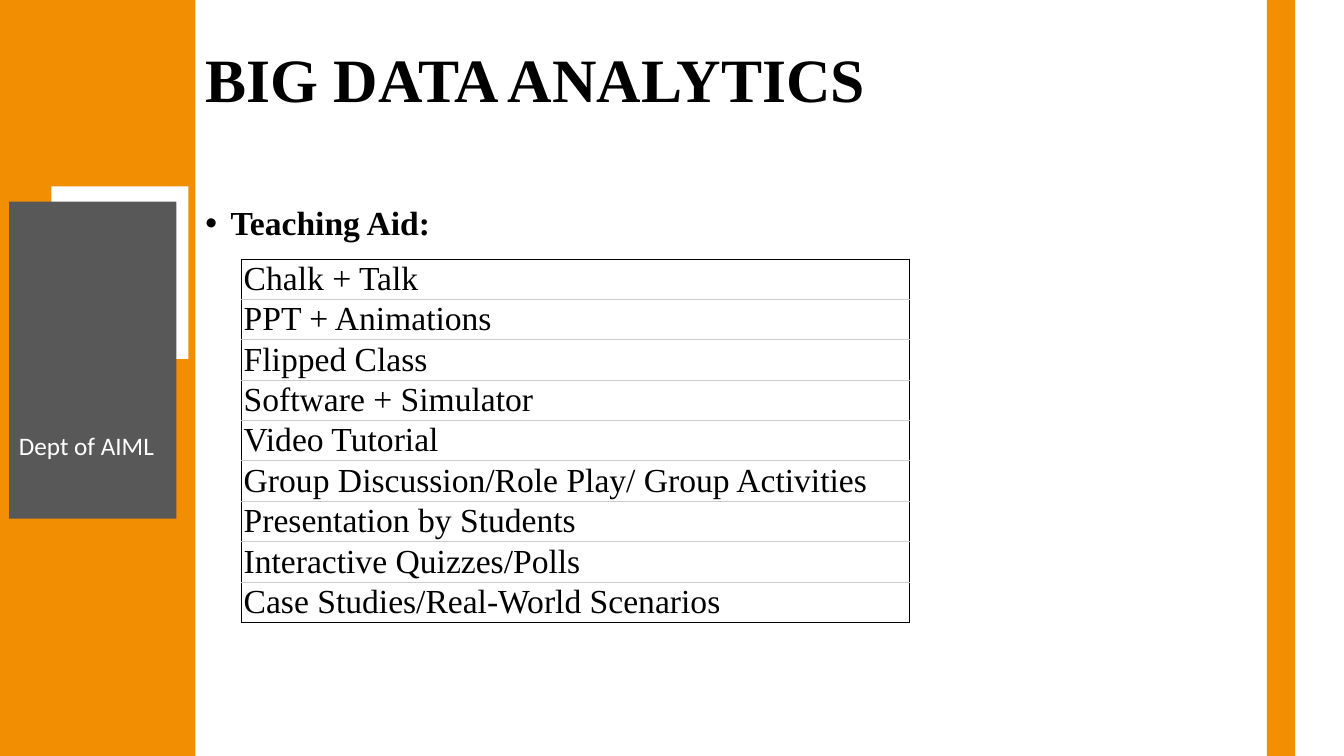
from lxml.etree import SubElement
from pptx import Presentation
from pptx.dml.color import RGBColor
from pptx.enum.shapes import MSO_SHAPE as Preset
from pptx.enum.text import MSO_ANCHOR as Anchor
from pptx.oxml.ns import qn
from pptx.util import Pt

ORANGE = RGBColor(0xF2, 0x8E, 0x01)
GRAY = RGBColor(0x58, 0x58, 0x58)
LIGHT_GRAY = RGBColor(0xCC, 0xCC, 0xCC)
WHITE = RGBColor(0xFF, 0xFF, 0xFF)
BLACK = RGBColor(0, 0, 0)
SERIF = "Times New Roman"

TEACHING_AIDS = [
    "Chalk + Talk",
    "PPT + Animations",
    "Flipped Class",
    "Software + Simulator",
    "Video Tutorial",
    "Group Discussion/Role Play/ Group Activities",
    "Presentation by Students",
    "Interactive Quizzes/Polls",
    "Case Studies/Real-World Scenarios",
]
ROW_HEIGHT = 28.8


def format_text(paragraph, size, font_name=SERIF, color=BLACK, bold=False):
    for run in paragraph.runs:
        run.font.size = Pt(size)
        run.font.name = font_name
        run.font.color.rgb = color
        run.font.bold = bold


def add_panel(slide, left, top, width, height, color):
    shape = slide.shapes.add_shape(
        Preset.RECTANGLE, Pt(left), Pt(top), Pt(width), Pt(height))
    shape.shadow.inherit = False
    shape.fill.solid()
    shape.fill.fore_color.rgb = color
    shape.line.fill.background()


def add_text(slide, left, top, width, height, text):
    box = slide.shapes.add_textbox(Pt(left), Pt(top), Pt(width), Pt(height))
    box.text_frame.word_wrap = True
    box.text_frame.text = text
    return box.text_frame


def add_bullet(paragraph, indent):
    properties = paragraph._p.get_or_add_pPr()
    properties.set("marL", str(Pt(indent)))
    properties.set("indent", str(-Pt(indent)))
    SubElement(properties, qn("a:buFont"), typeface="Arial")
    SubElement(properties, qn("a:buChar"), char="•")


def set_border(cell, side, color):
    line = SubElement(cell._tc.get_or_add_tcPr(), qn(f"a:{side}"), w=str(Pt(0.6)))
    fill = SubElement(line, qn("a:solidFill"))
    SubElement(fill, qn("a:srgbClr"), val=str(color))


def add_aid_table(slide, left, top, width, aids):
    frame = slide.shapes.add_table(
        len(aids), 1, Pt(left), Pt(top), Pt(width), Pt(ROW_HEIGHT * len(aids)))
    table = frame.table
    table.first_row = False
    table.horz_banding = False
    for index, aid in enumerate(aids):
        table.rows[index].height = Pt(ROW_HEIGHT)
        cell = table.cell(index, 0)
        cell.margin_left = cell.margin_right = Pt(2)
        cell.margin_top = cell.margin_bottom = 0
        cell.vertical_anchor = Anchor.MIDDLE
        cell.text_frame.text = aid
        format_text(cell.text_frame.paragraphs[0], 24)
        # Borders come before the fill in the cell properties
        set_border(cell, "lnL", BLACK)
        set_border(cell, "lnR", BLACK)
        set_border(cell, "lnT", BLACK if index == 0 else LIGHT_GRAY)
        set_border(cell, "lnB", BLACK if index == len(aids) - 1 else LIGHT_GRAY)
        cell.fill.background()


def main():
    presentation = Presentation()
    presentation.slide_width = Pt(960)
    presentation.slide_height = Pt(540)
    slide = presentation.slides.add_slide(presentation.slide_layouts[6])

    # Title
    title = add_text(slide, 139.7, 28.8, 753.8, 104.4, "BIG DATA ANALYTICS")
    title.margin_top = Pt(6.7)
    title.paragraphs[0].line_spacing = 0.9
    format_text(title.paragraphs[0], 44, bold=True)

    # Bulleted heading
    heading = add_text(slide, 139.7, 144, 753.8, 342.7, "Teaching Aid:")
    heading.paragraphs[0].line_spacing = 0.9
    add_bullet(heading.paragraphs[0], 18)
    format_text(heading.paragraphs[0], 24, bold=True)

    # Side bands and department panel
    add_panel(slide, -2.2, 0, 141.8, 540, ORANGE)
    add_panel(slide, 36.7, 133.2, 97.9, 123.1, WHITE)
    add_panel(slide, 6.5, 144, 119.5, 226.4, GRAY)
    department = add_text(slide, 6.5, 303.8, 119.5, 28.8, "Dept of AIML")
    format_text(department.paragraphs[0], 18, "Calibri", WHITE)
    add_panel(slide, 905, 0, 20.2, 540, ORANGE)

    # Teaching aids
    add_aid_table(slide, 172.1, 185, 477.4, TEACHING_AIDS)

    presentation.save("out.pptx")


if __name__ == "__main__":
    main()
